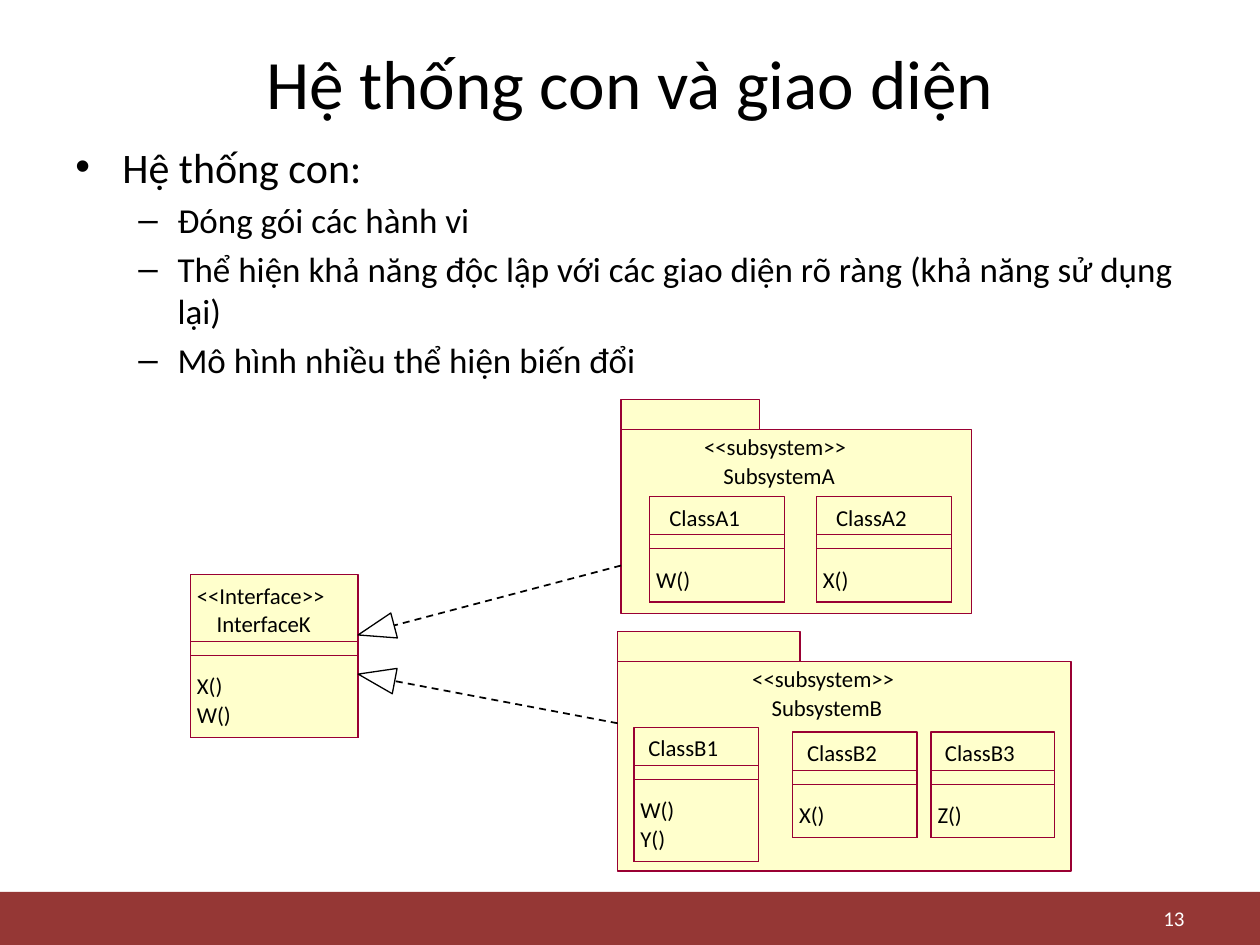
from math import hypot

from lxml.etree import SubElement
from pptx import Presentation
from pptx.dml.color import RGBColor
from pptx.enum.dml import MSO_LINE
from pptx.enum.shapes import MSO_CONNECTOR, MSO_SHAPE
from pptx.enum.text import MSO_ANCHOR, MSO_AUTO_SIZE, PP_ALIGN
from pptx.oxml.ns import qn
from pptx.util import Cm, Pt

BLACK, WHITE, MAROON = "000000", "FFFFFF", "953735"
CREAM, CRIMSON = "FFFFCC", "990033"
ROW = 0.58


def color(target, value):
    """Set a colour format from a hex string."""
    target.rgb = RGBColor.from_string(value)


def style(paragraph, size, value=BLACK):
    """Set the font of a paragraph."""
    paragraph.font.name = "Calibri"
    paragraph.font.size = Pt(size)
    color(paragraph.font.color, value)


def add_box(slide, left, top, width, height, fill=None, line=None):
    """Add a rectangle with optional fill and hairline."""
    box = slide.shapes.add_shape(
        MSO_SHAPE.RECTANGLE, Cm(left), Cm(top), Cm(width), Cm(height))
    box.shadow.inherit = False
    if fill:
        box.fill.solid()
        color(box.fill.fore_color, fill)
    else:
        box.fill.background()
    if line:
        color(box.line.color, line)
        box.line.width = Pt(0)
    else:
        box.line.fill.background()


def add_label(slide, left, top, text):
    """Add a one-line diagram label without insets."""
    label = slide.shapes.add_textbox(
        Cm(left), Cm(top), Cm(0.25 * len(text)), Cm(0.56))
    frame = label.text_frame
    frame.margin_left = frame.margin_right = 0
    frame.margin_top = frame.margin_bottom = 0
    frame.word_wrap = False
    frame.auto_size = MSO_AUTO_SIZE.SHAPE_TO_FIT_TEXT
    frame.text = text
    style(frame.paragraphs[0], 13)


def add_line_of_text(slide, left, top, width, height, text, size, align, value=BLACK):
    """Add a single vertically centred line of text."""
    frame = slide.shapes.add_textbox(
        Cm(left), Cm(top), Cm(width), Cm(height)).text_frame
    frame.word_wrap = True
    frame.vertical_anchor = MSO_ANCHOR.MIDDLE
    frame.text = text
    frame.paragraphs[0].alignment = align
    style(frame.paragraphs[0], size, value)


def add_footer(slide, left, top, width, height, number):
    """Add the footer band with the page number."""
    add_box(slide, left, top, width, height, MAROON)
    add_line_of_text(slide, left + 18.21, top + 0.18, 5.92, 0.69,
                     number, 12, PP_ALIGN.RIGHT, WHITE)


def add_bullets(slide, left, top, width, height, heading, points):
    """Add a bulleted heading with dashed points below it."""
    frame = slide.shapes.add_textbox(
        Cm(left), Cm(top), Cm(width), Cm(height)).text_frame
    frame.word_wrap = True
    for index, text in enumerate([heading, *points]):
        level = min(index, 1)
        size, margin, hanging, mark = [
            (24, 0.95, 0.95, "•"), (20, 2.06, 0.79, "–")][level]
        paragraph = frame.paragraphs[0] if index == 0 else frame.add_paragraph()
        paragraph.text = text
        paragraph.level = level
        if index:
            paragraph.space_before = Pt(size * 0.2)
        properties = paragraph._p.get_or_add_pPr()
        properties.set("marL", str(Cm(margin)))
        properties.set("indent", str(-Cm(hanging)))
        SubElement(properties, qn("a:buFont")).set("typeface", "Arial")
        SubElement(properties, qn("a:buChar")).set("char", mark)
        style(paragraph, size)


def add_class(slide, left, top, width, titles, members):
    """Add a class box from (text, indent) titles and its members."""
    head = 0.19 + ROW * len(titles)
    height = head + 0.78 + ROW * len(members)
    add_box(slide, left, top, width, height, CREAM, CRIMSON)
    for divider in (head, head + 0.28):
        add_box(slide, left, top + divider, width, height - divider, line=CRIMSON)
    for row, (title, indent) in enumerate(titles):
        add_label(slide, left + indent, top + 0.14 + row * ROW, title)
    for row, member in enumerate(members):
        add_label(slide, left + 0.13, top + head + 0.62 + row * ROW, member)


def add_subsystem(slide, left, top, width, height, tab_width, name, classes):
    """Add a subsystem package with the classes inside it."""
    tab_height = 0.61
    body_top = top + tab_height
    add_box(slide, left, body_top, width, height - tab_height, CREAM, CRIMSON)
    add_box(slide, left, top, tab_width, tab_height, CREAM, CRIMSON)
    indent = (width - 3.71) / 2
    add_label(slide, left + indent, body_top + 0.06, "<<subsystem>>")
    add_label(slide, left + indent + 0.39, body_top + 0.06 + ROW, name)
    for class_name, x, y, class_width, members in classes:
        title = (class_name, (class_width - 1.93) / 2)
        add_class(slide, left + x, top + y, class_width, [title], members)


def add_realization(slide, start, tip):
    """Add a dashed line that ends in a hollow triangle at the tip."""
    length, half = 0.75, 0.26
    dx, dy = start[0] - tip[0], start[1] - tip[1]
    distance = hypot(dx, dy)
    ux, uy = dx / distance, dy / distance
    base = tip[0] + length * ux, tip[1] + length * uy
    dash = slide.shapes.add_connector(
        MSO_CONNECTOR.STRAIGHT, *map(Cm, start), *map(Cm, base))
    color(dash.line.color, BLACK)
    dash.line.width = Pt(1)
    dash.line.dash_style = MSO_LINE.DASH
    SubElement(dash._element.spPr, qn("a:effectLst"))
    corners = [(base[0] - side * uy, base[1] + side * ux) for side in (half, -half)]
    builder = slide.shapes.build_freeform(*map(Cm, tip))
    builder.add_line_segments([(Cm(x), Cm(y)) for x, y in corners], close=True)
    head = builder.convert_to_shape()
    head.shadow.inherit = False
    head.fill.background()
    color(head.line.color, BLACK)
    head.line.width = Pt(0)


def add_diagram(slide, left, top):
    """Add the interface and the two subsystems that realize it."""
    interface_right = left + 3.38
    package_a, package_b = left + 8.68, left + 8.61
    add_class(slide, left, top + 3.53, 3.38,
              [("<<Interface>>", 0.13), ("InterfaceK", 0.53)], ["X()", "W()"])
    add_subsystem(slide, package_a, top, 7.06, 4.32, 2.79, "SubsystemA", [
        ("ClassA1", 0.58, 1.96, 2.72, ["W()"]),
        ("ClassA2", 3.94, 1.96, 2.72, ["X()"])])
    add_subsystem(slide, package_b, top + 4.68, 9.14, 4.83, 3.68, "SubsystemB", [
        ("ClassB1", 0.33, 1.93, 2.51, ["W()", "Y()"]),
        ("ClassB2", 3.53, 2.03, 2.51, ["X()"]),
        ("ClassB3", 6.32, 2.03, 2.49, ["Z()"])])
    add_realization(slide, (package_a, top + 3.35), (interface_right, top + 4.75))
    add_realization(slide, (package_b, top + 6.53), (interface_right, top + 5.54))


def main():
    """Build the slide and save it."""
    presentation = Presentation()
    presentation.slide_width, presentation.slide_height = Cm(25.4), Cm(19.05)
    slide = presentation.slides.add_slide(presentation.slide_layouts[6])
    add_footer(slide, 0, 17.98, 25.4, 1.07, "13")
    add_line_of_text(slide, 1.27, 0.76, 22.86, 1.78,
                     "Hệ thống con và giao diện", 39.6, PP_ALIGN.CENTER)
    add_bullets(slide, 1.27, 2.72, 22.86, 14.3, "Hệ thống con:", [
        "Đóng gói các hành vi",
        "Thể hiện khả năng độc lập với các giao diện rõ ràng (khả năng sử dụng lại)",
        "Mô hình nhiều thể hiện biến đổi"])
    add_diagram(slide, 3.84, 8.05)
    presentation.save("out.pptx")


if __name__ == "__main__":
    main()
